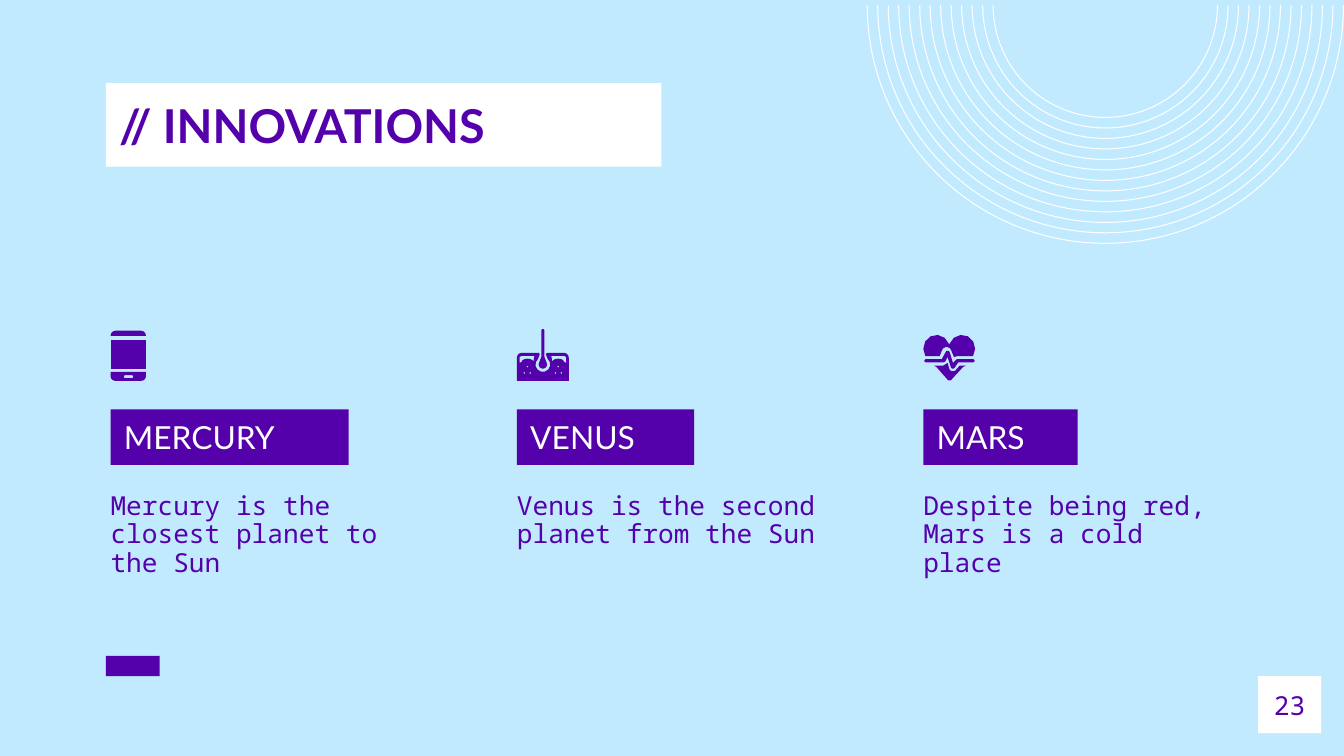
from dataclasses import dataclass
from math import cos, radians, sin

from pptx import Presentation
from pptx.dml.color import RGBColor
from pptx.enum.shapes import MSO_SHAPE
from pptx.enum.text import MSO_ANCHOR, PP_ALIGN
from pptx.util import Cm, Pt

RECTANGLE, ARC = MSO_SHAPE.RECTANGLE, MSO_SHAPE.ARC
TOP, MIDDLE = MSO_ANCHOR.TOP, MSO_ANCHOR.MIDDLE
LEFT, CENTER = PP_ALIGN.LEFT, PP_ALIGN.CENTER


@dataclass(frozen=True)
class Theme:
    sky: RGBColor = RGBColor(0xC2, 0xEA, 0xFF)
    purple: RGBColor = RGBColor(0x54, 0x01, 0xAC)
    white: RGBColor = RGBColor(0xFF, 0xFF, 0xFF)
    heading_font: str = "Lato"
    body_font: str = "Noto Sans Mono"
    title_size: int = 25
    label_size: int = 17
    body_size: int = 14
    ring_width: float = 0.55


THEME = Theme()


def arc(cx, cy, rx, ry, start, end):
    """Points of an ellipse arc; angles in degrees, clockwise from the right."""
    steps = max(2, round(abs(end - start) / 30))
    angles = [radians(start + (end - start) * i / steps) for i in range(steps + 1)]
    return [(cx + rx * cos(a), cy + ry * sin(a)) for a in angles]


def mirrored(outline, width=0.98):
    return [(width - x, y) for x, y in outline]


# Content: every icon is a list of parts, every part a list of outlines in cm;
# outlines after the first are holes.
PHONE = [
    [arc(0.1, 0.13, 0.1, 0.1, 180, 270) + arc(0.57, 0.13, 0.1, 0.1, 270, 360)],
    [[(0, 0.2), (0.67, 0.2), (0.67, 0.76), (0, 0.76)]],
    [[(0, 0.81), (0.67, 0.81)]
     + arc(0.58, 0.89, 0.09, 0.09, 0, 90) + arc(0.09, 0.89, 0.09, 0.09, 90, 180),
     arc(0.28, 0.9, 0.03, 0.03, 90, 270) + arc(0.4, 0.9, 0.03, 0.03, -90, 90)],
]

SKIN_LAYER = (arc(0.2, 0.62, 0.11, 0.06, 360, 180)
              + [(0.05, 0.64), (0.05, 0.53), (0.08, 0.51), (0.33, 0.51)])
PORES = [[(x - 0.02, y), (x, y - 0.02), (x + 0.02, y), (x, y + 0.02)]
         for x, y in [(0.2, 0.71), (0.14, 0.83), (0.25, 0.83)]]
SKIN_HOLES = [SKIN_LAYER] + PORES
FOLLICLE = [
    [arc(0.49, 0.03, 0.03, 0.03, 180, 360) + [(0.52, 0.53)]
     + arc(0.49, 0.67, 0.08, 0.08, -30, 210) + [(0.46, 0.53)]],
    [arc(0.09, 0.54, 0.09, 0.09, 180, 270) + arc(0.4, 0.48, 0.03, 0.03, 270, 390)
     + arc(0.49, 0.67, 0.14, 0.14, 230, -50)
     + arc(0.58, 0.48, 0.03, 0.03, 150, 270) + arc(0.89, 0.54, 0.09, 0.09, 270, 360)
     + [(0.98, 0.98), (0, 0.98)]]
    + SKIN_HOLES + [mirrored(hole) for hole in SKIN_HOLES],
]
FOLLICLE[1] = FOLLICLE[1]

HEART = [
    [arc(0.25, 0.37, 0.25, 0.26, 147, 340) + arc(0.73, 0.37, 0.25, 0.26, 200, 393)
     + [(0.64, 0.51), (0.58, 0.53)] + arc(0.44, 0.42, 0.09, 0.08, 350, 190)
     + [(0.31, 0.51)]],
    [arc(0.05, 0.6, 0.03, 0.03, 90, 270) + [(0.35, 0.57)]
     + arc(0.46, 0.45, 0.04, 0.04, 200, 340) + [(0.56, 0.64), (0.62, 0.58), (0.64, 0.57)]
     + arc(0.94, 0.6, 0.03, 0.03, -90, 90) + [(0.66, 0.63)]
     + arc(0.56, 0.71, 0.04, 0.04, 20, 160) + [(0.46, 0.53), (0.41, 0.62), (0.38, 0.63)]],
    [[(0.2, 0.69), (0.38, 0.69), (0.46, 0.64)]
     + arc(0.56, 0.74, 0.07, 0.06, 160, 20)
     + [(0.69, 0.69), (0.81, 0.69), (0.75, 0.72), (0.52, 0.97), (0.47, 0.97), (0.25, 0.72)]],
]

TITLE = "// INNOVATIONS"
PAGE_NUMBER = "23"
PLANETS = [  # label, label width, description, icon
    ("MERCURY", 4.5, "Mercury is the closest planet to the Sun", PHONE),
    ("VENUS", 3.35, "Venus is the second planet from the Sun", FOLLICLE),
    ("MARS", 2.92, "Despite being red, Mars is a cold place", HEART),
]

COLUMN_LEFT, COLUMN_STEP = 2.09, 7.68
ICON_TOP, LABEL_TOP, DESCRIPTION_TOP = 6.22, 7.74, 9.32
RING_X, RING_Y, RING_COUNT = 20.89, 0.1, 13
RING_INNER, RING_OUTER = 2.12, 4.5
HALF_TURN = 108  # 180 degrees in the unit of the arc's adjustments


def add_block(slide, left, top, width, height, color):
    block = slide.shapes.add_shape(RECTANGLE, Cm(left), Cm(top), Cm(width), Cm(height))
    block.shadow.inherit = False
    fill_plain(block, color)
    return block


def fill_plain(shape, color):
    shape.fill.solid()
    shape.fill.fore_color.rgb = color
    shape.line.fill.background()


def write(holder, text, *, font, size, color, bold=False, align=LEFT,
          anchor=MIDDLE, inset=0.25, spacing=1.0):
    frame = holder.text_frame
    frame.word_wrap = True
    frame.vertical_anchor = anchor
    frame.margin_left = frame.margin_right = Cm(inset)
    frame.margin_top = frame.margin_bottom = Cm(inset)
    paragraph = frame.paragraphs[0]
    paragraph.alignment = align
    paragraph.line_spacing = spacing
    run = paragraph.add_run()
    run.text = text
    run.font.name = font
    run.font.size = Pt(size)
    run.font.bold = bold
    run.font.color.rgb = color


def add_icon_part(slide, outlines, left, top):
    """One freeform from outlines in cm, measured from (left, top)."""
    builder = None
    for outline in outlines:
        start, *rest = [(x * 1000, y * 1000) for x, y in outline]
        if builder is None:
            builder = slide.shapes.build_freeform(*start, scale=Cm(1) / 1000)
        else:
            builder.move_to(*start)
        builder.add_line_segments(rest)
    icon_part = builder.convert_to_shape(Cm(left), Cm(top))
    icon_part.shadow.inherit = False
    fill_plain(icon_part, THEME.purple)


def add_rings(slide):
    step = (RING_OUTER - RING_INNER) / (RING_COUNT - 1)
    for i in range(RING_COUNT):
        radius = RING_INNER + i * step
        ring = slide.shapes.add_shape(ARC, Cm(RING_X - radius), Cm(RING_Y - radius),
                                      Cm(2 * radius), Cm(2 * radius))
        ring.adjustments[0], ring.adjustments[1] = 0, HALF_TURN
        ring.shadow.inherit = False
        ring.fill.background()
        ring.line.color.rgb = THEME.white
        ring.line.width = Pt(THEME.ring_width)


def add_planet(slide, left, label, label_width, description, icon):
    for outlines in icon:
        add_icon_part(slide, outlines, left, ICON_TOP)
    write(add_block(slide, left, LABEL_TOP, label_width, 1.05, THEME.purple), label,
          font=THEME.heading_font, size=THEME.label_size, color=THEME.white)
    description_box = slide.shapes.add_textbox(
        Cm(left), Cm(DESCRIPTION_TOP), Cm(5.84), Cm(2))
    write(description_box, description, font=THEME.body_font, size=THEME.body_size,
          color=THEME.purple, anchor=TOP, inset=0, spacing=0.9)


def main():
    deck = Presentation()
    deck.slide_width, deck.slide_height = Cm(25.4), Cm(14.29)
    slide = deck.slides.add_slide(deck.slide_layouts[6])
    slide.background.fill.solid()
    slide.background.fill.fore_color.rgb = THEME.sky

    add_block(slide, 2, 12.4, 1.02, 0.38, THEME.purple)
    add_rings(slide)
    write(add_block(slide, 23.78, 12.78, 1.19, 1.08, THEME.white), PAGE_NUMBER,
          font=THEME.body_font, size=THEME.body_size, color=THEME.purple, align=CENTER)
    write(add_block(slide, 2, 1.57, 10.5, 1.58, THEME.white), TITLE,
          font=THEME.heading_font, size=THEME.title_size, color=THEME.purple, bold=True)
    for i, planet in enumerate(PLANETS):
        add_planet(slide, COLUMN_LEFT + i * COLUMN_STEP, *planet)

    deck.save("out.pptx")


if __name__ == "__main__":
    main()
